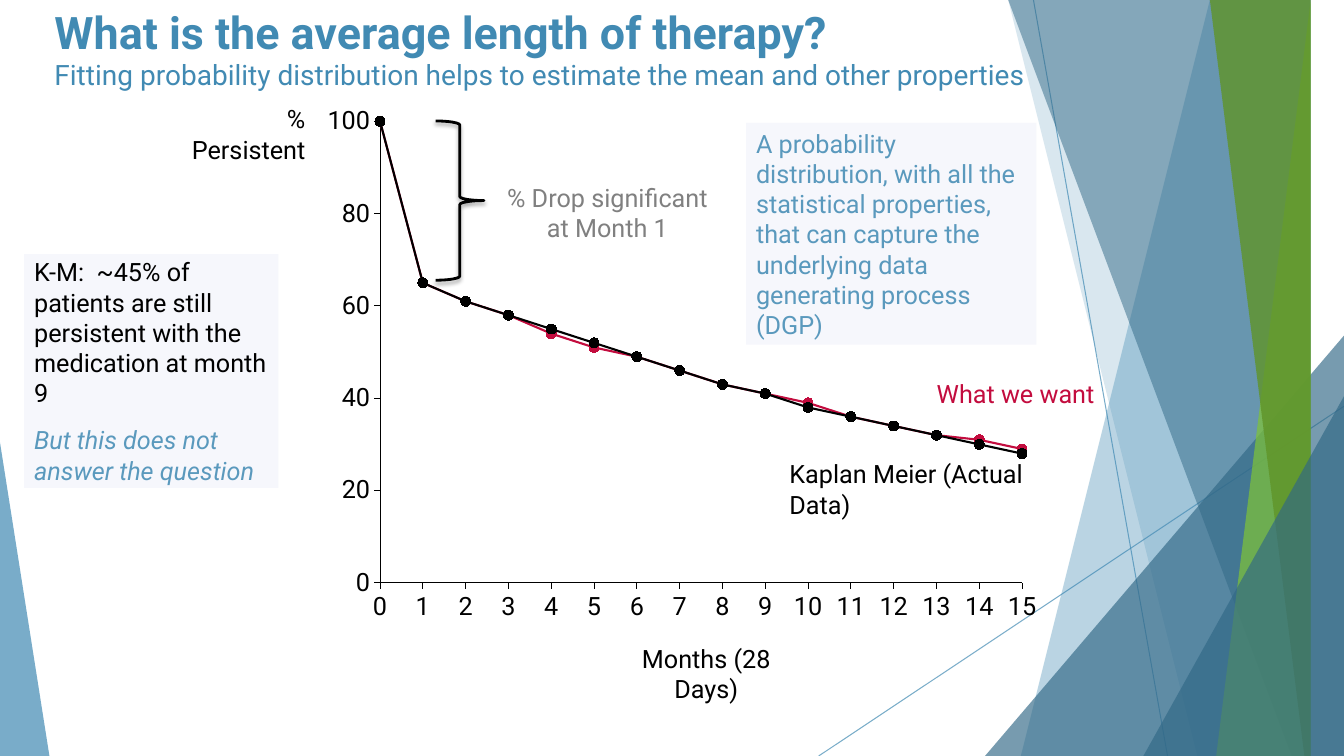
import dataclasses

import pptx
import pptx.chart.data
import pptx.dml.color
import pptx.enum.chart
import pptx.enum.shapes
import pptx.enum.text
import pptx.oxml
import pptx.oxml.ns
import pptx.util
from pptx.util import Inches, Pt

SHAPE = pptx.enum.shapes.MSO_SHAPE
ALIGN = pptx.enum.text.PP_ALIGN
ANCHOR = pptx.enum.text.MSO_ANCHOR
WIDE, HIGH = 13.33, 7.5


@dataclasses.dataclass(frozen=True)
class Theme:
    font: str = "Roboto"
    blue: str = "418AB3"
    deep: str = "316886"
    soft: str = "5A99BD"
    lime: str = "80C535"
    green: str = "609428"
    pale: str = "F6F7FC"
    black: str = "000000"
    grey: str = "808080"
    red: str = "C30C3E"
    head: int = 32
    sub: int = 20
    text: int = 18


THEME = Theme()


def rgb(color):
    return pptx.dml.color.RGBColor.from_string(color)


def node(body):
    """Parse one DrawingML or chart element."""
    tag, rest = body.split(" ", 1) if " " in body.split(">")[0] else body.split(">", 1)
    gap = " " if " " in body.split(">")[0] else ">"
    names = pptx.oxml.ns.nsdecls("a", "c")
    return pptx.oxml.parse_xml(f"{tag} {names}{gap}{rest}")


def fade(fill, color, alpha):
    """Set a solid colour with an opacity in percent."""
    fill.solid()
    fill.fore_color.rgb = rgb(color)
    tint = fill._xPr.find(".//" + pptx.oxml.ns.qn("a:srgbClr"))
    tint.append(node(f'<a:alpha val="{alpha * 1000}"/>'))


def style(font, size, color, bold=False, italic=False):
    font.name, font.size = THEME.font, Pt(size)
    font.bold, font.italic = bold, italic
    font.color.rgb = rgb(color)


def place(shape, left, top, width, height):
    shape.left, shape.top = Inches(left), Inches(top)
    shape.width, shape.height = Inches(width), Inches(height)


def add_ray(slide, start, end):
    ends = [Inches(v) for v in (*start, *end)]
    ray = slide.shapes.add_connector(pptx.enum.shapes.MSO_CONNECTOR.STRAIGHT, *ends)
    ray.line.width = Pt(0.75)
    fade(ray.line.fill, THEME.blue, 70)
    ray.element.spPr.append(node("<a:effectLst></a:effectLst>"))


def add_facet(slide, top, base, color, alpha):
    """Draw a band from a slanted left edge to the right side of the slide."""
    pen = slide.shapes.build_freeform(top, 0, scale=Inches(1))
    pen.add_line_segments([(WIDE, 0), (WIDE, HIGH), (base, HIGH)])
    facet = pen.convert_to_shape()
    facet.shadow.inherit = False
    facet.line.fill.background()
    fade(facet.fill, color, alpha)


def add_shape(slide, kind, box, adj=None):
    shape = slide.shapes.add_shape(kind, *(Inches(v) for v in box))
    shape.shadow.inherit = False
    shape.line.fill.background()
    if adj is not None:
        shape.adjustments[0] = adj
    return shape


def add_wedge(slide, box, peak, color, alpha):
    wedge = add_shape(slide, SHAPE.ISOSCELES_TRIANGLE, box, peak)
    fade(wedge.fill, color, alpha)


def add_decor(slide):
    add_ray(slide, (10.25, 0), (11.58, HIGH))
    add_ray(slide, (WIDE, 4.03), (8.12, HIGH))
    add_facet(slide, 12.28, 10.04, THEME.blue, 36)
    add_facet(slide, 10.5, 11.83, THEME.blue, 20)
    add_wedge(slide, (9.77, 3.33, 3.56, 4.17), 1, THEME.deep, 66)
    add_facet(slide, 10.21, 12.91, THEME.deep, 50)
    add_facet(slide, 13.03, 11.92, THEME.lime, 70)
    add_facet(slide, 11.96, 13.18, THEME.green, 80)
    add_wedge(slide, (11.34, 3.93, 1.99, 3.57), 1, THEME.deep, 66)
    add_wedge(slide, (0, 4.39, 0.49, 3.11), 0, THEME.blue, 70)


def set_axis(axis, top, step, code):
    axis.minimum_scale, axis.maximum_scale, axis.major_unit = 0, top, step
    axis.has_major_gridlines = False
    axis.major_tick_mark = pptx.enum.chart.XL_TICK_MARK.OUTSIDE
    axis.minor_tick_mark = pptx.enum.chart.XL_TICK_MARK.NONE
    axis.format.line.color.rgb = rgb(THEME.black)
    axis.format.line.width = Pt(0.75)
    axis.tick_labels.number_format = code
    axis.tick_labels.number_format_is_linked = False
    style(axis.tick_labels.font, THEME.text, THEME.black)


def set_plot(chart, x, y, w, h):
    """Fix the inner plot area as fractions of the chart."""
    parts = "".join(f'<c:{k} val="{v}"/>' for k, v in zip("xywh", (x, y, w, h)))
    area = chart._chartSpace.chart.plotArea
    for old in area.findall(pptx.oxml.ns.qn("c:layout")):
        area.remove(old)
    area.insert(0, node(
        '<c:layout><c:manualLayout><c:layoutTarget val="inner"/>'
        '<c:xMode val="edge"/><c:yMode val="edge"/>'
        f"{parts}</c:manualLayout></c:layout>"))


def add_curve(slide):
    actual = [100, 65, 61, 58, 55, 52, 49, 46, 43, 41, 38, 36, 34, 32, 30, 28]
    fitted = [100, 65, 61, 58, 54, 51, 49, 46, 43, 41, 39, 36, 34, 32, 31, 29]
    data = pptx.chart.data.XyChartData()
    for name, values in (("Series 1", actual), ("Series 2", fitted)):
        series = data.add_series(name)
        for month, value in enumerate(values):
            series.add_data_point(month, value)
    box = [Inches(v) for v in (3.04, 1.03, 7.44, 5.27)]
    kind = pptx.enum.chart.XL_CHART_TYPE.XY_SCATTER_LINES
    chart = slide.shapes.add_chart(kind, *box, data).chart
    chart.has_legend = chart.has_title = False
    style(chart.font, THEME.text, THEME.black)
    set_axis(chart.category_axis, 15, 1, '0;"-"0')
    set_axis(chart.value_axis, 100, 20, '#,##0;"-"#,##0')
    set_plot(chart, 0.098, 0.033, 0.856, 0.869)
    chart.plots[0].vary_by_categories = False
    for series, color in zip(chart.plots[0].series, (THEME.black, THEME.red)):
        series.smooth = False
        series.format.line.color.rgb = rgb(color)
        series.format.line.width = Pt(1.5)
        mark = series.marker
        mark.style, mark.size = pptx.enum.chart.XL_MARKER_STYLE.CIRCLE, 7
        mark.format.fill.solid()
        mark.format.fill.fore_color.rgb = rgb(color)
        mark.format.line.color.rgb = rgb(color)


def add_label(slide, text, box, color=THEME.black, align=ALIGN.LEFT,
              anchor=ANCHOR.TOP, inset=0, wrap=False):
    frame = slide.shapes.add_textbox(*(Inches(v) for v in box)).text_frame
    frame.word_wrap, frame.vertical_anchor = wrap, anchor
    frame.margin_left = frame.margin_right = Inches(inset)
    frame.margin_top = frame.margin_bottom = Inches(inset / 2)
    line = frame.paragraphs[0]
    line.text, line.alignment = text, align
    style(line.font, THEME.text, color)


def add_card(slide, box, lines):
    """Draw a pale note; each line is (text, colour, italic)."""
    card = add_shape(slide, SHAPE.ROUNDED_RECTANGLE, box, 0)
    card.fill.solid()
    card.fill.fore_color.rgb = rgb(THEME.pale)
    frame = card.text_frame
    frame.word_wrap, frame.vertical_anchor = True, ANCHOR.MIDDLE
    for i, (text, color, italic) in enumerate(lines):
        line = frame.add_paragraph() if i else frame.paragraphs[0]
        line.text, line.alignment = text, ALIGN.LEFT
        line.space_before = Pt(12 if i else 0)
        style(line.font, THEME.text, color, italic=italic)


def add_brace(slide):
    brace = add_shape(slide, SHAPE.RIGHT_BRACE, (4.32, 1.2, 0.48, 1.58))
    brace.fill.background()
    brace.line.color.rgb = rgb(THEME.black)
    brace.line.width = Pt(2)
    glow = brace.element.spPr.find(pptx.oxml.ns.qn("a:effectLst"))
    glow.append(node(
        f'<a:outerShdw blurRad="{Pt(3)}" dist="{Pt(2)}" dir="5400000" rotWithShape="0">'
        f'<a:srgbClr val="{THEME.black}"><a:alpha val="35000"/></a:srgbClr></a:outerShdw>'))


def set_head(shape, text, box, size, bold=False):
    """Fill a placeholder and bring it to the front."""
    place(shape, *box)
    frame = shape.text_frame
    frame.word_wrap, frame.vertical_anchor = True, ANCHOR.TOP
    frame.auto_size = pptx.enum.text.MSO_AUTO_SIZE.NONE
    line = frame.paragraphs[0]
    line.text, line.alignment, line.space_before = text, ALIGN.LEFT, Pt(0)
    props = line._p.get_or_add_pPr()
    props.set("marL", "0")
    props.set("indent", "0")
    props.append(node("<a:buNone></a:buNone>"))
    style(line.font, size, THEME.blue, bold)
    shape.element.getparent().append(shape.element)


def main():
    deck = pptx.Presentation()
    deck.slide_width, deck.slide_height = Inches(WIDE), Inches(HIGH)
    slide = deck.slides.add_slide(deck.slide_layouts[1])
    add_decor(slide)
    add_curve(slide)
    add_label(slide, "Kaplan Meier (Actual Data)", (7.83, 4.7, 2.73, 0.3), anchor=ANCHOR.MIDDLE)
    add_label(slide, "What we want", (9.29, 3.75, 1.68, 0.3), THEME.red, anchor=ANCHOR.MIDDLE)
    add_label(slide, "Months (28 Days)", (6.11, 6.38, 1.79, 0.3), align=ALIGN.CENTER)
    add_label(slide, "% Persistent", (1.8, 1.03, 1.23, 0.3), align=ALIGN.RIGHT)
    add_card(slide, (0.24, 2.52, 2.52, 2.32), [
        ("K-M:  ~45% of patients are still persistent with the medication at month 9",
         THEME.black, False),
        ("But this does not answer the question", THEME.soft, True)])
    add_brace(slide)
    add_label(slide, "% Drop significant at Month 1", (4.86, 1.76, 2.33, 0.71),
              THEME.grey, ALIGN.CENTER, inset=0.1, wrap=True)
    add_card(slide, (7.4, 1.22, 2.88, 2.2), [
        ("A probability distribution, with all the statistical properties, that can "
         "capture the underlying data generating process (DGP)", THEME.soft, False)])
    set_head(slide.shapes.title, "What is the average length of therapy?",
             (0.44, 0, 11.31, 0.81), THEME.head, True)
    set_head(slide.placeholders[1],
             "Fitting probability distribution helps to estimate the mean and other properties",
             (0.44, 0.52, 12.4, 0.4), THEME.sub)
    deck.save("out.pptx")


if __name__ == "__main__":
    main()
